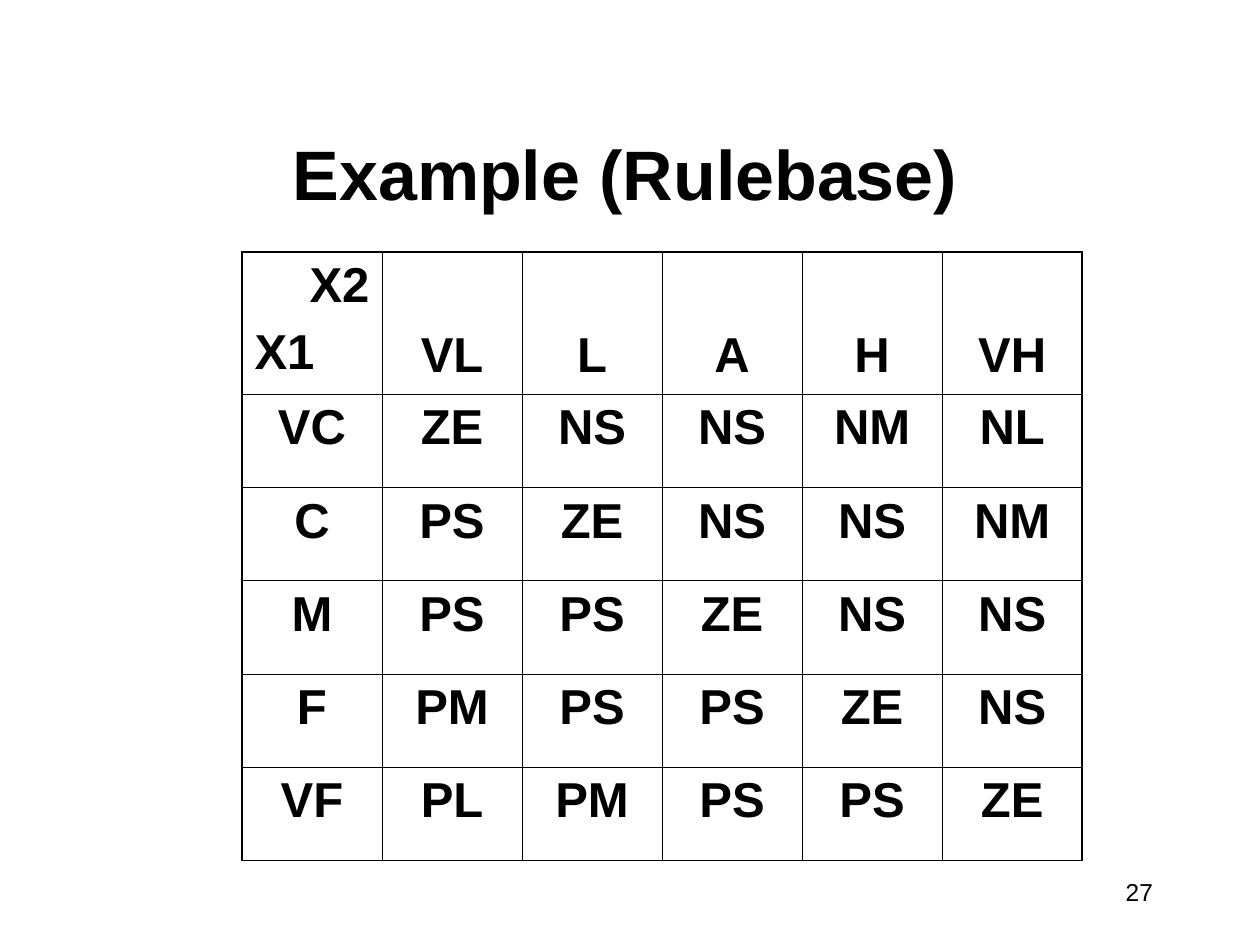
"""Build the fuzzy rulebase slide: a title, a rule table and a page number."""
from dataclasses import dataclass

from lxml.etree import SubElement
from pptx import Presentation
from pptx.dml.color import RGBColor
from pptx.enum.text import MSO_ANCHOR, MSO_AUTO_SIZE, PP_ALIGN
from pptx.oxml.ns import qn
from pptx.util import Inches, Pt

TITLE = "Example (Rulebase)"
PAGE = "27"
AXES = [("X2", PP_ALIGN.RIGHT), ("X1", PP_ALIGN.LEFT)]
X2_TERMS = ["VL", "L", "A", "H", "VH"]
RULES = {
    "VC": ["ZE", "NS", "NS", "NM", "NL"],
    "C": ["PS", "ZE", "NS", "NS", "NM"],
    "M": ["PS", "PS", "ZE", "NS", "NS"],
    "F": ["PM", "PS", "PS", "ZE", "NS"],
    "VF": ["PL", "PM", "PS", "PS", "ZE"],
}
TITLE_BOX = (0.67, 1, 8.58, 0.75)
TABLE_BOX = (1.92, 2, 6.67, 4.83)
PAGE_BOX = (8.58, 6.83, 0.67, 0.5)
HEADER_HEIGHT = 1.13
HEADER_BOTTOM = 0.09


@dataclass(frozen=True)
class Theme:
    font: str = "Arial"
    ink: str = "000000"
    title: int = 40
    cell: int = 28
    page: int = 14
    gap: int = 7
    outer: float = 1.08
    inner: float = 0.45


THEME = Theme()


def write(tf, lines, size, bold=True):
    for i, (text, align) in enumerate(lines):
        p = tf.add_paragraph() if i else tf.paragraphs[0]
        p.text, p.alignment = text, align
        p.space_before = Pt(THEME.gap if i else 0)
        p.font.name, p.font.size, p.font.bold = THEME.font, Pt(size), bold
        p.font.color.rgb = RGBColor.from_string(THEME.ink)


def draw_borders(cell, edges):
    for side, is_outer in edges.items():
        width = Pt(THEME.outer if is_outer else THEME.inner)
        ln = SubElement(cell._tc.get_or_add_tcPr(), qn(f"a:ln{side}"), w=str(width))
        SubElement(SubElement(ln, qn("a:solidFill")), qn("a:srgbClr"), val=THEME.ink)


def add_title(s):
    sp = s.shapes.title
    sp.left, sp.top, sp.width, sp.height = map(Inches, TITLE_BOX)
    tf = sp.text_frame
    tf.auto_size, tf.vertical_anchor = MSO_AUTO_SIZE.NONE, MSO_ANCHOR.BOTTOM
    write(tf, [(TITLE, PP_ALIGN.CENTER)], THEME.title)


def add_rules(s):
    rows = [[None, *X2_TERMS]] + [[term, *row] for term, row in RULES.items()]
    n_rows, n_cols = len(rows), len(rows[0])
    table = s.shapes.add_table(n_rows, n_cols, *map(Inches, TABLE_BOX)).table
    table.first_row = table.horz_banding = False
    width, height = TABLE_BOX[2:]
    for column in table.columns:
        column.width = Inches(width / n_cols)
    for r, row in enumerate(rows):
        body_height = (height - HEADER_HEIGHT) / (n_rows - 1)
        table.rows[r].height = Inches(body_height if r else HEADER_HEIGHT)
        for c, text in enumerate(row):
            cell = table.cell(r, c)
            lines = [(text, PP_ALIGN.CENTER)] if text else AXES
            write(cell.text_frame, lines, THEME.cell)
            draw_borders(cell, {"L": c == 0, "R": c == n_cols - 1,
                                "T": r == 0, "B": r == n_rows - 1})
            cell.fill.background()
            if r == 0 and c:
                cell.vertical_anchor = MSO_ANCHOR.BOTTOM
                cell.margin_bottom = Inches(HEADER_BOTTOM)


def add_page_number(s):
    tf = s.shapes.add_textbox(*map(Inches, PAGE_BOX)).text_frame
    tf.word_wrap, tf.vertical_anchor = False, MSO_ANCHOR.MIDDLE
    write(tf, [(PAGE, PP_ALIGN.RIGHT)], THEME.page, bold=False)


def main():
    prs = Presentation()
    prs.slide_width, prs.slide_height = Inches(10), Inches(7.5)
    s = prs.slides.add_slide(prs.slide_layouts.get_by_name("Title Only"))
    add_title(s)
    add_rules(s)
    add_page_number(s)
    prs.save("out.pptx")


if __name__ == "__main__":
    main()
